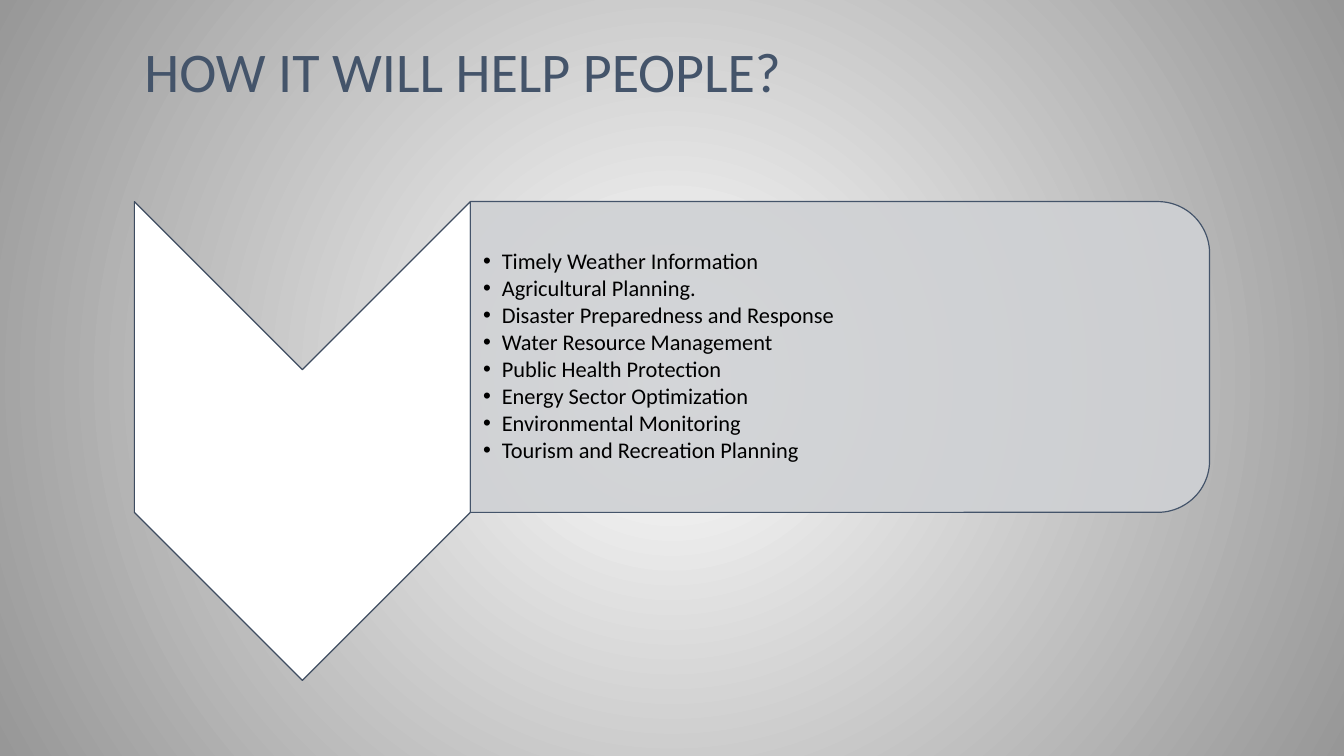
from dataclasses import dataclass

from lxml import etree
from pptx import Presentation
from pptx.dml.color import RGBColor
from pptx.enum.shapes import MSO_SHAPE as Preset
from pptx.enum.text import MSO_ANCHOR as Anchor, MSO_AUTO_SIZE as AutoSize, PP_ALIGN as Align
from pptx.oxml.ns import qn
from pptx.util import Pt


@dataclass(frozen=True)
class Theme:
    font: str = "Calibri"
    title_size: int = 40
    list_size: int = 16
    line_width: float = 0.85
    title: str = "44546A"
    text: str = "000000"
    chevron: str = "FFFFFF"
    chevron_line: str = "3E4C60"
    panel: str = "CFD1D4"
    panel_opacity: int = 90
    center: str = "FFFFFF"
    edge: str = "979797"


THEME = Theme()
TITLE = "HOW IT WILL HELP PEOPLE?"
BENEFITS = [
    "Timely Weather Information",
    "Agricultural Planning.",
    "Disaster Preparedness and Response",
    "Water Resource Management",
    "Public Health Protection",
    "Energy Sector Optimization",
    "Environmental Monitoring",
    "Tourism and Recreation Planning",
]


def rgb(value):
    return RGBColor.from_string(value)


def place(shape, box):
    shape.left, shape.top, shape.width, shape.height = (Pt(value) for value in box)


def style_paragraph(paragraph, size, color):
    paragraph.alignment = Align.LEFT
    paragraph.line_spacing = 0.9
    paragraph.space_before = Pt(0)
    paragraph.font.name = THEME.font
    paragraph.font.size = Pt(size)
    paragraph.font.color.rgb = rgb(color)


def paint_background(slide):
    fill = slide.background.fill
    fill.gradient()
    for stop, color in zip(fill.gradient_stops, (THEME.center, THEME.edge)):
        stop.color.rgb = rgb(color)
    gradient = slide.element.find(f".//{qn('a:gradFill')}")
    gradient.remove(gradient.find(qn("a:lin")))
    circle = etree.SubElement(gradient, qn("a:path"), {"path": "circle"})
    sides = dict.fromkeys("ltrb", "50000")
    etree.SubElement(circle, qn("a:fillToRect"), sides)


def add_title(slide, box):
    title = slide.shapes.title
    place(title, box)
    frame = title.text_frame
    frame.text = TITLE
    frame.auto_size = AutoSize.NONE
    frame.vertical_anchor = Anchor.BOTTOM
    style_paragraph(frame.paragraphs[0], THEME.title_size, THEME.title)


def add_turned_shape(slide, preset, box, fill, line):
    left, top, width, height = box
    shift = (width - height) / 2
    turned = (left + shift, top - shift, height, width)
    shape = slide.shapes.add_shape(preset, *(Pt(value) for value in turned))
    shape.rotation = 90
    shape.shadow.inherit = False
    shape.fill.solid()
    shape.fill.fore_color.rgb = rgb(fill)
    shape.line.color.rgb = rgb(line)
    shape.line.width = Pt(THEME.line_width)
    return shape


def add_list(slide, box):
    body = slide.placeholders[1]
    place(body, box)
    slide.shapes.element.append(body.element)
    frame = body.text_frame
    frame.text = "\n".join(BENEFITS)
    frame.auto_size = AutoSize.NONE
    frame.vertical_anchor = Anchor.MIDDLE
    frame.margin_left = Pt(9)
    frame.margin_top = frame.margin_right = frame.margin_bottom = Pt(1)
    for paragraph in frame.paragraphs:
        style_paragraph(paragraph, THEME.list_size, THEME.text)
        paragraph.space_after = Pt(2)
        properties = paragraph._p.get_or_add_pPr()
        properties.set("marL", str(Pt(13.5)))
        properties.set("indent", str(-Pt(13.5)))


def add_benefits(slide, box):
    left, top, width, height = box
    chevron_width, panel_height = 240, 222
    panel_left, panel_width = left + chevron_width, width - chevron_width
    add_turned_shape(slide, Preset.CHEVRON, (left, top, chevron_width, height),
                     THEME.chevron, THEME.chevron_line)
    panel = add_turned_shape(slide, Preset.ROUND_2_SAME_RECTANGLE,
                             (panel_left, top, panel_width, panel_height),
                             THEME.panel, THEME.title)
    color = panel.element.spPr.find(f"{qn('a:solidFill')}/{qn('a:srgbClr')}")
    etree.SubElement(color, qn("a:alpha"), val=str(THEME.panel_opacity * 1000))
    add_list(slide, (panel_left, top + 11, panel_width - 11, panel_height - 22))


def main():
    presentation = Presentation()
    presentation.slide_width, presentation.slide_height = Pt(960), Pt(540)
    slide = presentation.slides.add_slide(presentation.slide_layouts[1])
    paint_background(slide)
    add_title(slide, (96, -12, 768, 90))
    add_benefits(slide, (96, 144, 768, 342))
    presentation.save("out.pptx")


if __name__ == "__main__":
    main()
